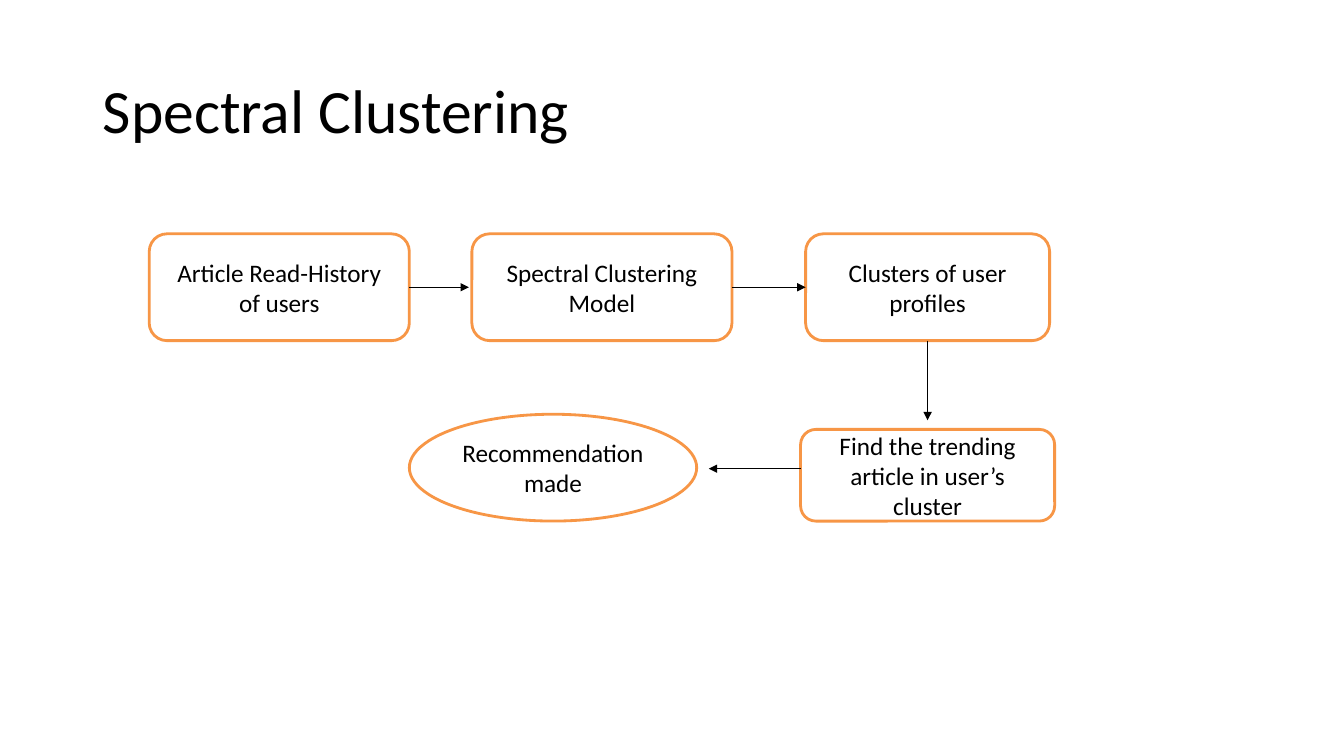
from dataclasses import dataclass

from lxml import etree
from pptx import Presentation
from pptx.dml.color import RGBColor
from pptx.enum import shapes, text
from pptx.oxml import ns
from pptx.util import Inches, Pt


@dataclass(frozen=True)
class Theme:
    font: str = "Calibri"
    ink: RGBColor = RGBColor(0x00, 0x00, 0x00)
    paper: RGBColor = RGBColor(0xFF, 0xFF, 0xFF)
    accent: RGBColor = RGBColor(0xF7, 0x96, 0x46)
    title_size: int = 44
    step_size: int = 18
    outline: float = 2
    arrow: float = 0.75


theme = Theme()


def write(frame, words, size, align):
    frame.text = words
    frame.word_wrap = True
    frame.vertical_anchor = text.MSO_ANCHOR.MIDDLE
    paragraph = frame.paragraphs[0]
    paragraph.alignment = align
    font = paragraph.runs[0].font
    font.name, font.size = theme.font, Pt(size)
    font.color.rgb = theme.ink
    return paragraph


# Slide
deck = Presentation()
deck.slide_width, deck.slide_height = Inches(13.33), Inches(7.5)
slide = deck.slides.add_slide(deck.slide_layouts[5])

# Title
title = slide.shapes.title
title.left, title.top = Inches(0.92), Inches(0.4)
title.width, title.height = Inches(11.5), Inches(1.45)
heading = write(title.text_frame, "Spectral Clustering", theme.title_size, text.PP_ALIGN.LEFT)
heading.line_spacing = 0.9

# Steps of the flow: wording, outline, left, top, width, height
BOX, OVAL = shapes.MSO_SHAPE.ROUNDED_RECTANGLE, shapes.MSO_SHAPE.OVAL
flow = [
    ("Article Read-History of users", BOX, 1.48, 2.32, 2.58, 1.06),
    ("Spectral Clustering Model", BOX, 4.68, 2.32, 2.58, 1.06),
    ("Clusters of user profiles", BOX, 7.99, 2.32, 2.42, 1.06),
    ("Find the trending article in user’s cluster", BOX, 7.94, 4.26, 2.52, 0.91),
    ("Recommendation made", OVAL, 4.06, 4.11, 2.85, 1.06),
]
steps = []
for words, outline, *place in flow:
    step = slide.shapes.add_shape(outline, *map(Inches, place))
    step.shadow.inherit = False
    step.fill.solid()
    step.fill.fore_color.rgb = theme.paper
    step.line.color.rgb = theme.accent
    step.line.width = Pt(theme.outline)
    write(step.text_frame, words, theme.step_size, text.PP_ALIGN.CENTER)
    steps.append(step)
history, model, clusters, trending, recommendation = steps

# Arrows: ends, then the joined step and side at each end
TOP, LEFT, BOTTOM, RIGHT = range(4)
arrows = [
    ((4.06, 2.85, 4.65, 2.85), (history, RIGHT), None),
    ((7.26, 2.85, 7.99, 2.85), (model, RIGHT), (clusters, LEFT)),
    ((9.2, 3.38, 9.2, 4.17), (clusters, BOTTOM), None),
    ((7.94, 4.65, 7.03, 4.65), None, None),
]
for ends, start, finish in arrows:
    arrow = slide.shapes.add_connector(shapes.MSO_CONNECTOR.STRAIGHT, *map(Inches, ends))
    if start:
        arrow.begin_connect(*start)
    if finish:
        arrow.end_connect(*finish)
    arrow.line.color.rgb = theme.ink
    arrow.line.width = Pt(theme.arrow)
    etree.SubElement(arrow.line._get_or_add_ln(), ns.qn("a:tailEnd"), type="triangle")
    etree.SubElement(arrow._element.spPr, ns.qn("a:effectLst"))

deck.save("out.pptx")
